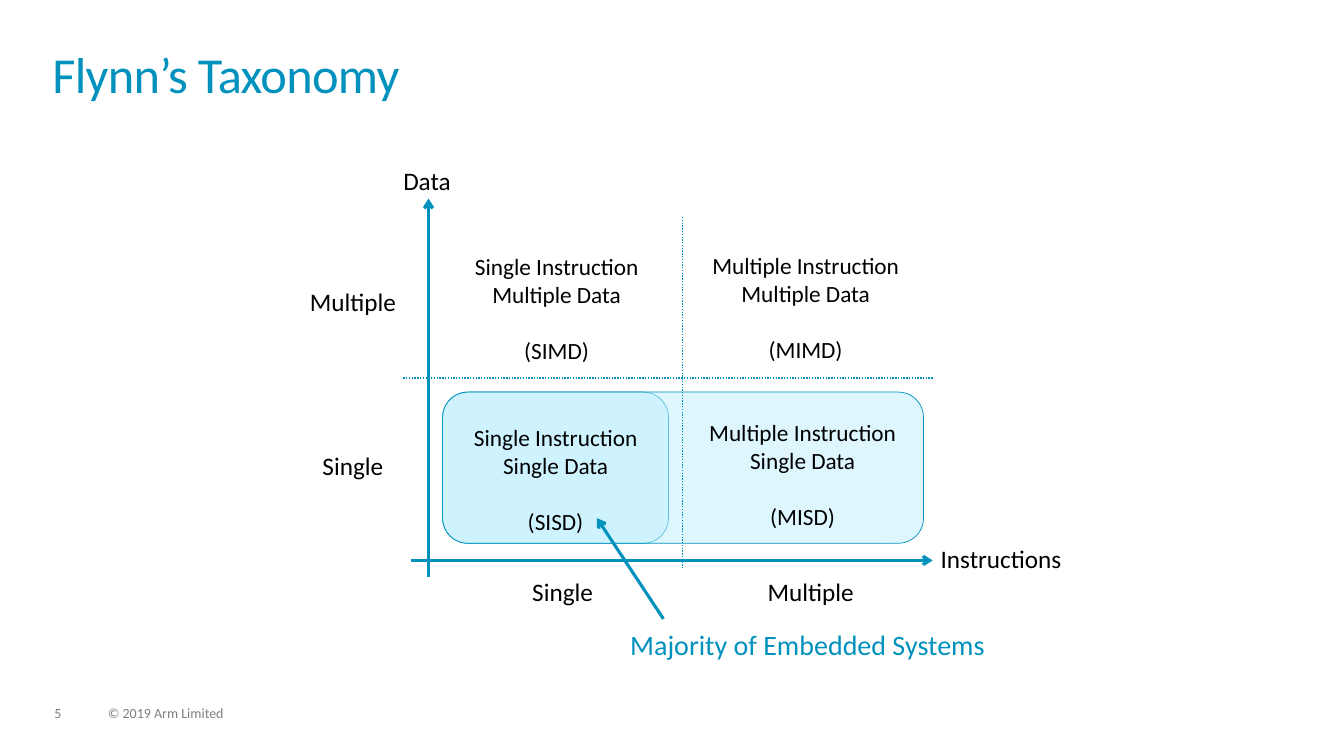
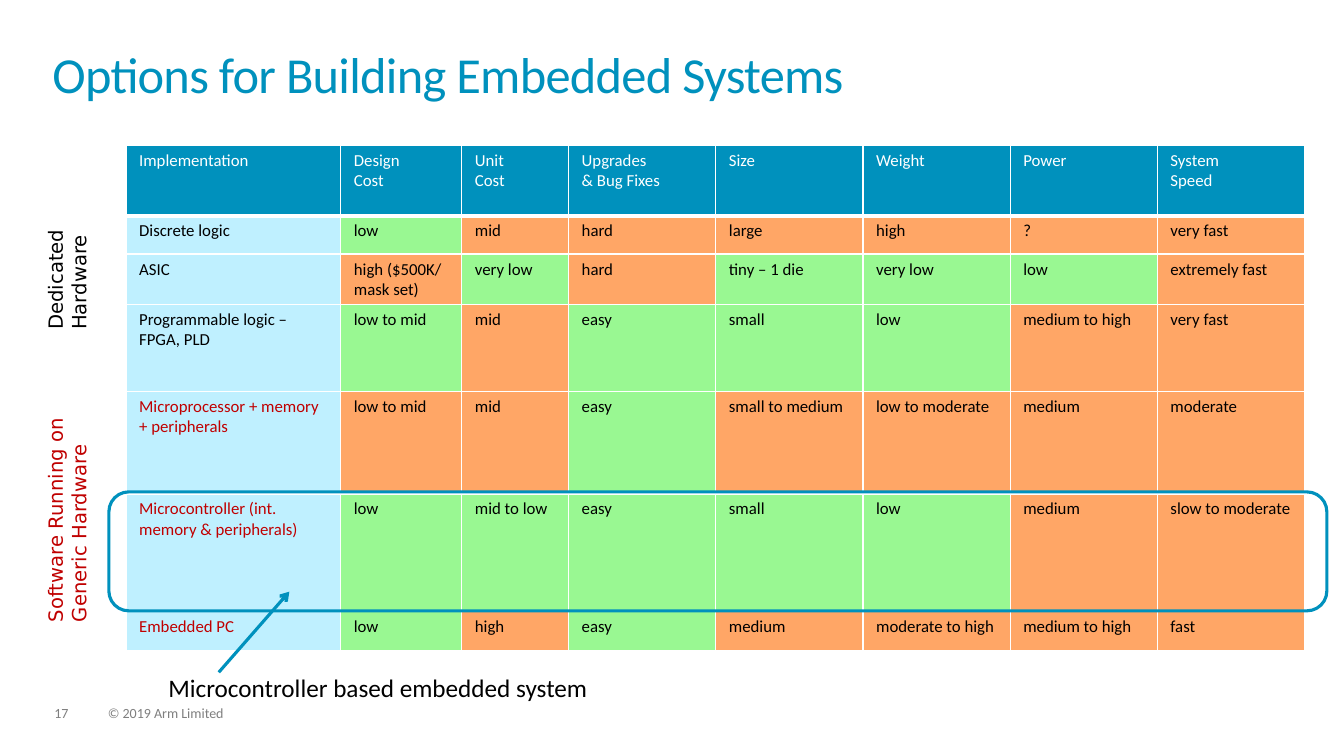
from copy import deepcopy

from lxml import etree
from pptx import Presentation
from pptx import util as u
from pptx.dml.color import RGBColor
from pptx.enum import dml, shapes, text
from pptx.oxml import ns

BLUE = RGBColor(0x00, 0x91, 0xBD)
PALE_BLUE = RGBColor(0xBF, 0xF0, 0xFF)
GREEN = RGBColor(0x99, 0xF8, 0x92)
ORANGE = RGBColor(0xFF, 0xA6, 0x66)
RED = RGBColor(0xC0, 0x00, 0x00)
GRAY = RGBColor(0x7F, 0x7F, 0x7F)
BLACK = RGBColor(0, 0, 0)
WHITE = RGBColor(0xFF, 0xFF, 0xFF)

RATING_FILLS = {"+": GREEN, "-": ORANGE}
COLUMN_WIDTHS = [2.13, 1.2, 1.06] + [1.46] * 5
ROW_HEIGHTS = [0.7, 0.38, 0.47, 0.86, 1.02, 1.17, 0.38]
HEADINGS = ["Implementation", "Design\nCost", "Unit\nCost", "Upgrades\n& Bug Fixes",
            "Size", "Weight", "Power", "System\nSpeed"]
OPTIONS = [
    ("Discrete logic", BLACK, "+------",
     ["low", "mid", "hard", "large", "high", "?", "very fast"]),
    ("ASIC", BLACK, "-+-+++-",
     ["high ($500K/ mask set)", "very low", "hard", "tiny – 1 die", "very low", "low",
      "extremely fast"]),
    ("Programmable logic – FPGA, PLD", BLACK, "+-+++--",
     ["low to mid", "mid", "easy", "small", "low", "medium to high", "very fast"]),
    ("Microprocessor + memory + peripherals", RED, "--+----",
     ["low to mid", "mid", "easy", "small to medium", "low to moderate", "medium",
      "moderate"]),
    ("Microcontroller (int. memory & peripherals)", RED, "+++++--",
     ["low", "mid to low", "easy", "small", "low", "medium", "slow to moderate"]),
    ("Embedded PC", RED, "+-+----",
     ["low", "high", "easy", "medium", "moderate to high", "medium to high", "fast"]),
]
QUADRANTS = [
    (5.51, 4.2, "Single", "Single", "SISD"),
    (7.96, 4.15, "Multiple", "Single", "MISD"),
    (5.52, 2.5, "Single", "Multiple", "SIMD"),
    (7.99, 2.49, "Multiple", "Multiple", "MIMD"),
]
AXIS_LABELS = [(5.58, 5.72, "Single"), (8.04, 5.72, "Multiple"),
               (3.5, 4.47, "Single"), (3.5, 2.84, "Multiple")]


def set_all(target, values):
    for name, value in values.items():
        setattr(target, name, value)


def set_margins(target, horizontal, vertical):
    set_all(target, {"margin_left": u.Inches(horizontal), "margin_right": u.Inches(horizontal),
                     "margin_top": u.Inches(vertical), "margin_bottom": u.Inches(vertical)})


class Deck:
    font = "Calibri"

    def __init__(self):
        self.presentation = Presentation()
        set_all(self.presentation, {"slide_width": u.Inches(13.33),
                                    "slide_height": u.Inches(7.5)})
        self.slide = None

    def start(self, title, number):
        self.slide = self.presentation.slides.add_slide(self.presentation.slide_layouts[5])
        heading = self.slide.shapes.title
        set_all(heading, {"left": u.Inches(0.52), "top": u.Inches(0.52),
                          "width": u.Inches(12.28), "height": u.Inches(0.72)})
        frame = heading.text_frame
        set_all(frame, {"word_wrap": True, "auto_size": text.MSO_AUTO_SIZE.NONE,
                        "vertical_anchor": text.MSO_ANCHOR.TOP})
        set_margins(frame, 0, 0)
        paragraph = frame.paragraphs[0]
        self.fill_paragraph(paragraph, title, 36, BLUE, line_spacing=0.85)
        paragraph.runs[0].font._element.set("spc", "-50")
        for left, width, footer in [(0.54, 0.34, str(number)),
                                    (1.07, 5.07, "© 2019 Arm Limited")]:
            self.label(left, 7.01, width, 0.15, [footer], 10, GRAY, line_spacing=0.9)

    def fill_paragraph(self, paragraph, content, size, color, font=None, **layout):
        paragraph.text = content
        set_all(paragraph, {"alignment": text.PP_ALIGN.LEFT, **layout})
        for run in paragraph.runs:
            set_all(run.font, {"size": u.Pt(size), "name": font or self.font})
            run.font.color.rgb = color
        for line_break in paragraph._p.findall(ns.qn("a:br")):
            line_break.append(deepcopy(paragraph.runs[0].font._element))

    def label(self, left, top, width, height, lines, size=18, color=BLACK, font=None,
              margins=(0, 0), rotation=0, **layout):
        box = self.slide.shapes.add_textbox(*map(u.Inches, (left, top, width, height)))
        box.rotation = rotation
        frame = box.text_frame
        frame.word_wrap = True
        set_margins(frame, *margins)
        for index, content in enumerate(lines):
            paragraph = frame.add_paragraph() if index else frame.paragraphs[0]
            self.fill_paragraph(paragraph, content, size, color, font, **layout)
        return frame

    def centered(self, center, top, width, height, lines, size=18):
        return self.label(center - width / 2, top, width, height, lines, size,
                          alignment=text.PP_ALIGN.CENTER)

    def side_label(self, left, top, width, lines, color):
        self.label(left, top, width, 0.57, lines, 14, color, "DejaVu Sans", (0.1, 0.05), 270)

    def rounded(self, left, top, width, height, line_width, opacity=None):
        area = self.slide.shapes.add_shape(shapes.MSO_SHAPE.ROUNDED_RECTANGLE,
                                           *map(u.Inches, (left, top, width, height)))
        area.shadow.inherit = False
        area.line.color.rgb = BLUE
        area.line.width = u.Pt(line_width)
        if opacity is None:
            area.fill.background()
            return
        area.fill.solid()
        area.fill.fore_color.rgb = PALE_BLUE
        tint = area._element.spPr.find(".//" + ns.qn("a:srgbClr"))
        etree.SubElement(tint, ns.qn("a:alpha"), val=str(opacity * 1000))

    def line(self, start, end, arrow=True):
        stroke = self.slide.shapes.add_connector(shapes.MSO_CONNECTOR.STRAIGHT,
                                                 *map(u.Inches, (*start, *end)))
        stroke.line.color.rgb = BLUE
        stroke.line.width = u.Pt(2.25 if arrow else 1)
        if arrow:
            etree.SubElement(stroke.line._get_or_add_ln(), ns.qn("a:tailEnd"), type="arrow")
        else:
            stroke.line.dash_style = dml.MSO_LINE.ROUND_DOT
        etree.SubElement(stroke._element.spPr, ns.qn("a:effectLst"))

    def cell(self, cell, content, fill, color=BLACK, bottom_width=1):
        set_margins(cell, 0.13, 0.05)
        self.fill_paragraph(cell.text_frame.paragraphs[0], content, 12, color)
        properties = cell._tc.get_or_add_tcPr()
        for side, width in {"L": 1, "R": 1, "T": 1, "B": bottom_width}.items():
            border = etree.SubElement(properties, ns.qn("a:ln" + side), w=str(u.Pt(width)))
            solid = etree.SubElement(border, ns.qn("a:solidFill"))
            etree.SubElement(solid, ns.qn("a:srgbClr"), val=str(WHITE))
        cell.fill.solid()
        cell.fill.fore_color.rgb = fill

    def options_table(self, left, top):
        extent = (left, top, sum(COLUMN_WIDTHS), sum(ROW_HEIGHTS))
        table = self.slide.shapes.add_table(len(ROW_HEIGHTS), len(COLUMN_WIDTHS),
                                            *map(u.Inches, extent)).table
        for column, width in zip(table.columns, COLUMN_WIDTHS):
            column.width = u.Inches(width)
        for row, height in zip(table.rows, ROW_HEIGHTS):
            row.height = u.Inches(height)
        for column, heading in enumerate(HEADINGS):
            self.cell(table.cell(0, column), heading, BLUE, WHITE, 3)
        for row, (option, color, ratings, values) in enumerate(OPTIONS, 1):
            self.cell(table.cell(row, 0), option, PALE_BLUE, color)
            for column, (rating, value) in enumerate(zip(ratings, values), 1):
                self.cell(table.cell(row, column), value, RATING_FILLS[rating])


def build_taxonomy(deck):
    deck.start("Flynn’s Taxonomy", 5)
    for width in (2.24, 4.77):
        deck.rounded(4.39, 3.89, width, 1.5, 0.5, 50)
    deck.line((4.08, 5.56), (9.25, 5.56))
    deck.line((4.25, 5.72), (4.25, 1.97))
    deck.label(4, 1.64, 1, 0.33, ["Data"])
    deck.label(9.33, 5.39, 1.5, 0.33, ["Instructions"])
    deck.line((6.77, 5.64), (6.77, 2.14), arrow=False)
    deck.line((4, 3.75), (9.25, 3.75), arrow=False)
    for center, top, amount in AXIS_LABELS:
        deck.centered(center, top, 1.08, 0.42, [amount])
    for center, top, instruction, data, acronym in QUADRANTS:
        lines = [f"{instruction} Instruction", f"{data} Data", f"({acronym})"]
        quadrant = deck.centered(center, top, 2.2, 1, lines, 16.6)
        quadrant.paragraphs[-1].space_before = u.Pt(20)
    deck.label(6.25, 6.22, 4, 0.35, ["Majority of Embedded Systems"], 20, BLUE)
    deck.line((6.58, 6.14), (5.92, 5.14))


def build_options(deck):
    deck.start("Options for Building Embedded Systems", 17)
    deck.side_label(0.04, 2.46, 1.25, ["Dedicated", "Hardware"], BLACK)
    deck.side_label(-0.65, 4.67, 2.63, ["Software Running on\nGeneric Hardware"], RED)
    deck.options_table(1.25, 1.44)
    deck.rounded(1.08, 4.88, 12.08, 1.18, 2.25)
    deck.line((2.17, 6.67), (2.87, 5.87))
    deck.label(1.67, 6.67, 5, 0.33, ["Microcontroller based embedded system"])


def main():
    deck = Deck()
    build_taxonomy(deck)
    build_options(deck)
    deck.presentation.save("out.pptx")


if __name__ == "__main__":
    main()
